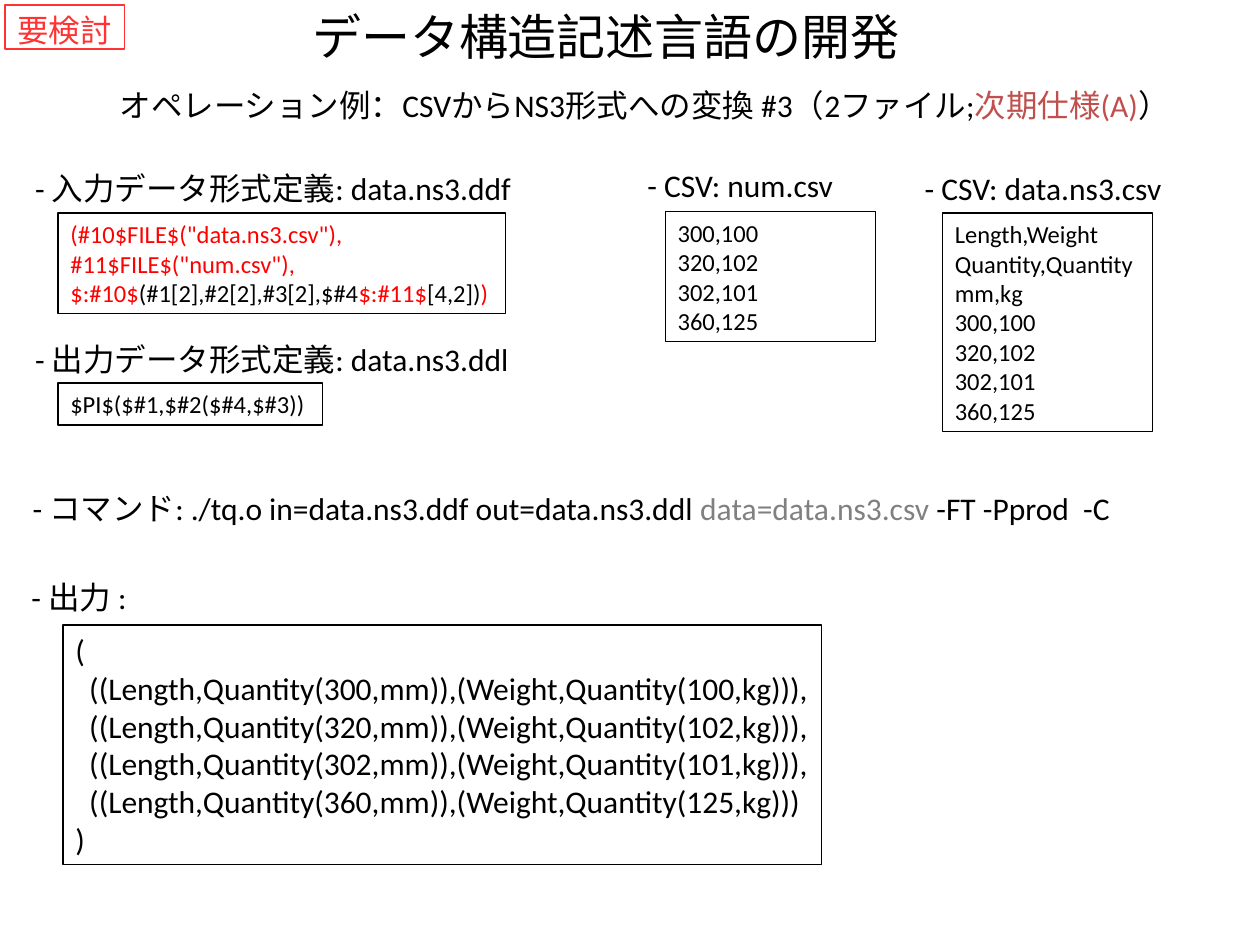
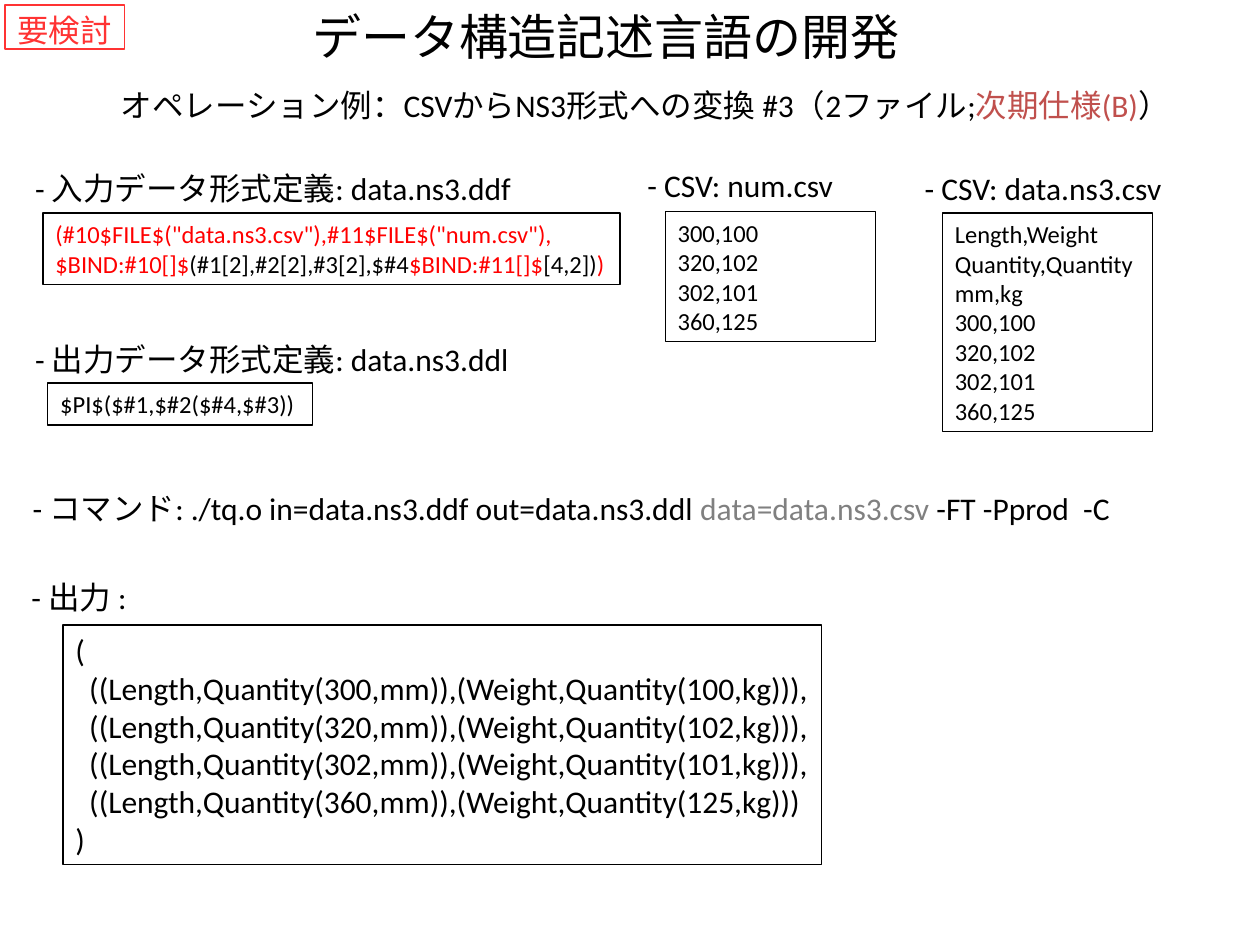
from dataclasses import dataclass
from pptx import Presentation, util as u
from pptx.dml.color import RGBColor
from pptx.enum import shapes, text

# Content: a line is a string or a list of (text, colour name) runs
TITLE = "データ構造記述言語の開発"
BADGE = "要検討"
TOPIC = "オペレーション例：CSVからNS3形式への変換 #3（2ファイル;"
COMMAND = [("- コマンド: ./tq.o in=data.ns3.ddf out=data.ns3.ddl ", "ink"),
           ("data=data.ns3.csv ", "mute"), ("-FT -Pprod  -C", "ink")]
PAIRS = [(300, 100), (320, 102), (302, 101), (360, 125)]
NUMS = [f"{size},{mass}" for size, mass in PAIRS]
DATA = ["Length,Weight", "Quantity,Quantity", "mm,kg"] + NUMS
ROWS = [f"((Length,Quantity({size},mm)),(Weight,Quantity({mass},kg)))"
        for size, mass in PAIRS]
ROWS = [row + "," for row in ROWS[:-1]] + ROWS[-1:]
RESULT = ["(", *ROWS, ")"]
OUTPUT = ["$PI$($#1,$#2($#4,$#3))"]


def bind(first, second):
    """Last line of an input definition, with its two binding marks."""
    return [(first, "red"), ("(#1[2],#2[2],#3[2],$#4", "ink"),
            (second, "red"), ("[4,2])", "ink"), (")", "red")]


FILES = ['(#10$FILE$("data.ns3.csv"),', '#11$FILE$("num.csv"),']
SPECS = [
    dict(name="(A)", topic=8.5, inset=(4.6, 35.5), outset=4.6,
         lines=[[(file, "red")] for file in FILES]
         + [bind("$:#10$", "$:#11$")]),
    dict(name="(B)", topic=8.6, inset=(3.4, 45.8), outset=3.8,
         lines=[[("".join(FILES), "red")],
                bind("$BIND:#10[]$", "$BIND:#11[]$")]),
]


# Theme and grid
@dataclass
class Theme:
    ink: str = "000000"
    red: str = "FF0000"
    flag: str = "FF3333"
    brick: str = "C0504D"
    mute: str = "808080"
    face: str = "Calibri"
    alt: str = "Arial"
    head: int = 28
    body: int = 18
    code: int = 14
    rule: float = 0.75
    side: float = 0.1
    pad: float = 0.05
    step: float = 0.11


T = Theme()
WIDE, HIGH = 10, 7.5
COLS, RANKS = 100, 75

deck = Presentation()
deck.slide_width, deck.slide_height = u.Inches(WIDE), u.Inches(HIGH)


def across(cols):
    return u.Inches(WIDE * cols / COLS)


def down(rows):
    return u.Inches(HIGH * rows / RANKS)


def tall(count, size):
    """Box height in grid rows: a line takes 1/60 inch per point."""
    return (count * size / 60 + 2 * T.pad) * RANKS / HIGH


def write(shape, lines, size, ink="ink", face=T.face, wrap=True, nest=False,
          right=T.side):
    frame = shape.text_frame
    form = dict(word_wrap=wrap, vertical_anchor=text.MSO_ANCHOR.TOP,
                margin_left=u.Inches(T.side), margin_right=u.Inches(right),
                margin_top=u.Inches(T.pad), margin_bottom=u.Inches(T.pad))
    for key, value in form.items():
        setattr(frame, key, value)
    for i, line in enumerate(lines):
        para = frame.add_paragraph() if i else frame.paragraphs[0]
        para.alignment = text.PP_ALIGN.LEFT
        if nest and 0 < i < len(lines) - 1:
            props = para._p.get_or_add_pPr()
            props.set("marL", str(u.Inches(T.step)))
            props.set("indent", "0")
        for words, hue in [(line, ink)] if isinstance(line, str) else line:
            run = para.add_run()
            run.text = words
            for key, value in dict(size=u.Pt(size), name=face).items():
                setattr(run.font, key, value)
            run.font.color.rgb = RGBColor.from_string(getattr(T, hue))


def label(slide, x, y, w, line, size=T.body):
    box = slide.shapes.add_textbox(across(x), down(y), across(w),
                                   down(tall(1, size)))
    write(box, [line], size, right=0)


def panel(slide, x, y, w, lines, size=T.code, h=None, edge="ink", **form):
    box = slide.shapes.add_shape(
        shapes.MSO_SHAPE.RECTANGLE, across(x), down(y), across(w),
        down(h or tall(len(lines), size)))
    box.shadow.inherit = False
    box.fill.background()
    box.line.color.rgb = RGBColor.from_string(getattr(T, edge))
    box.line.width = u.Pt(T.rule)
    write(box, lines, size, **form)


# Labels shared by the slides: column, row, width, line
LABELS = [
    (1.8, 12.9, 40.8, "- 入力データ形式定義: data.ns3.ddf"),
    (1.8, 26.5, 40.8, "- 出力データ形式定義: data.ns3.ddl"),
    (50.4, 12.7, 16.7, "- CSV: num.csv"),
    (72.4, 12.9, 20.8, "- CSV: data.ns3.csv"),
    (1.6, 38.3, 88.8, COMMAND),
    (1.5, 45.4, 10.8, "- 出力 : "),
]

for part in SPECS:
    slide = deck.slides.add_slide(deck.slide_layouts[6])
    # Heading; the topic line runs to the right edge
    label(slide, 23.8, 0, 48.6, TITLE, T.head)
    label(slide, part["topic"], 6.3, COLS - part["topic"],
          [(TOPIC, "ink"), ("次期仕様" + part["name"], "brick"),
           ("）", "ink")])
    panel(slide, 0.4, 0.4, 9.5, [BADGE], T.body, h=3.5, edge="flag",
          ink="flag", face=T.alt)
    for spot in LABELS:
        label(slide, *spot)
    # Definitions, data files and result
    left, width = part["inset"]
    panel(slide, left, 16.9, width, part["lines"])
    panel(slide, part["outset"], 30.4, 21, OUTPUT)
    panel(slide, 52.8, 16.8, 16.7, NUMS)
    panel(slide, 74.8, 16.9, 16.7, DATA)
    panel(slide, 5, 49.6, 60.2, RESULT, T.body, wrap=False, nest=True)

deck.save("out.pptx")
